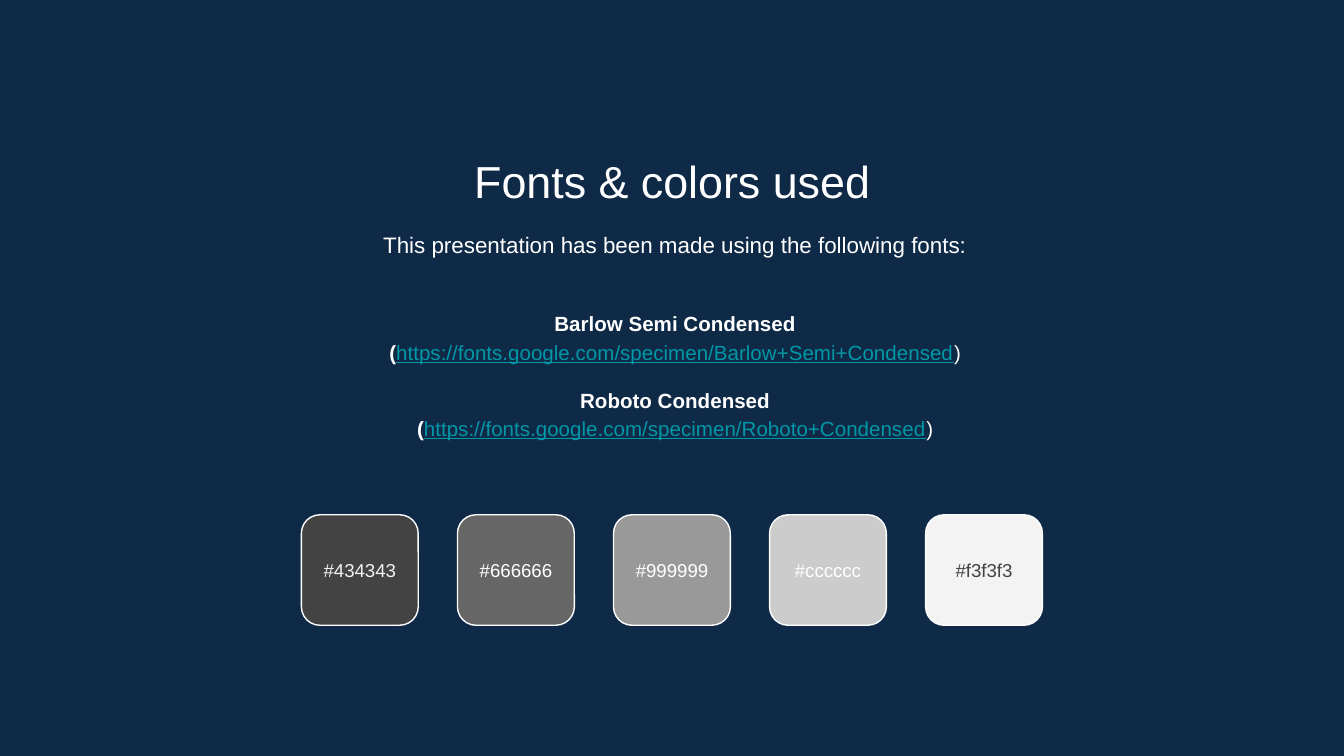
import pptx
import pptx.dml.color
import pptx.enum.shapes
import pptx.enum.text
import pptx.oxml.ns
import pptx.util
from lxml import etree

RGBColor = pptx.dml.color.RGBColor
Pt = pptx.util.Pt
PP_ALIGN = pptx.enum.text.PP_ALIGN
MSO_ANCHOR = pptx.enum.text.MSO_ANCHOR

NAVY = RGBColor(0x0E, 0x2A, 0x47)
WHITE = RGBColor(0xFF, 0xFF, 0xFF)
TEAL = RGBColor(0x00, 0x97, 0xA7)
CHARCOAL = RGBColor(0x43, 0x43, 0x43)
DARK_GREY = RGBColor(0x66, 0x66, 0x66)
GREY = RGBColor(0x99, 0x99, 0x99)
LIGHT_GREY = RGBColor(0xCC, 0xCC, 0xCC)
PALE_GREY = RGBColor(0xF3, 0xF3, 0xF3)

FRAME_FORMAT = {
    "margin_left": Pt(7.2), "margin_top": Pt(7.2),
    "margin_right": Pt(7.2), "margin_bottom": Pt(7.2),
    "word_wrap": True, "auto_size": pptx.enum.text.MSO_AUTO_SIZE.NONE,
}


def apply(target, values):
    """Set every attribute named in a dict of format values."""
    for name, value in values.items():
        setattr(target, name, value)


class SlideStyle:
    """Hold the typeface and the current slide, and add its elements."""

    def __init__(self, slide, typeface):
        self.slide = slide
        self.typeface = typeface
        slide.background.fill.solid()
        slide.background.fill.fore_color.rgb = NAVY

    def fill_text(self, frame, paragraphs, size, anchor=MSO_ANCHOR.MIDDLE, spacing=1.0):
        """Fill a frame with (space before, runs) paragraphs of (text, colour, format) runs."""
        apply(frame, FRAME_FORMAT | {"vertical_anchor": anchor})
        for index, (gap, runs) in enumerate(paragraphs):
            line = frame.add_paragraph() if index else frame.paragraphs[0]
            apply(line, {"alignment": PP_ALIGN.CENTER, "line_spacing": spacing,
                         "space_before": Pt(gap), "space_after": Pt(0)})
            for text, colour, extra in runs:
                run = line.add_run()
                run.text = text
                apply(run.font, {"name": self.typeface, "size": Pt(size), "bold": False} | extra)
                run.font.color.rgb = colour

    def place(self, index, left, top, width, height):
        """Move a placeholder of the layout and return its text frame."""
        holder = self.slide.placeholders[index]
        apply(holder, {"left": Pt(left), "top": Pt(top), "width": Pt(width), "height": Pt(height)})
        return holder.text_frame

    def title(self, text, box):
        """Set the slide title."""
        self.fill_text(self.place(0, *box), [(0, [(text, WHITE, {})])], 24, MSO_ANCHOR.TOP)

    def body(self, index, paragraphs, box, size, anchor):
        """Set centred, unbulleted lines in a body placeholder."""
        frame = self.place(index, *box)
        self.fill_text(frame, paragraphs, size, anchor, 1.15)
        for line in frame.paragraphs:
            properties = line._p.get_or_add_pPr()
            properties.set("marL", "0")
            properties.set("indent", "0")
            etree.SubElement(properties, pptx.oxml.ns.qn("a:buNone"))

    def swatch(self, left, top, width, height, colour, label_colour):
        """Draw a colour tile with its hex code in the middle."""
        tile = self.slide.shapes.add_shape(
            pptx.enum.shapes.MSO_SHAPE.ROUNDED_RECTANGLE,
            Pt(left), Pt(top), Pt(width), Pt(height))
        tile.shadow.inherit = False
        tile.fill.solid()
        tile.fill.fore_color.rgb = colour
        tile.line.color.rgb = WHITE
        tile.line.width = Pt(0.75)
        label_height = 34.6
        label = self.slide.shapes.add_textbox(
            Pt(left), Pt(top + (height - label_height) / 2), Pt(width), Pt(label_height))
        hex_code = f"#{colour}".lower()
        self.fill_text(label.text_frame, [(0, [(hex_code, label_colour, {})])], 10)


def font_credit(name, address, gap):
    """Return the name line and the address line of one font."""
    return [
        (gap, [(name, WHITE, {"bold": True})]),
        (0, [("(", WHITE, {"bold": True}),
             (address, TEAL, {"underline": True}),
             (")", WHITE, {})]),
    ]


def main():
    """Build the fonts and colours slide."""
    deck = pptx.Presentation()
    apply(deck, {"slide_width": Pt(720), "slide_height": Pt(405)})
    style = SlideStyle(deck.slides.add_slide(deck.slide_layouts.get_by_name("Two Content")), "Arial")

    style.title("Fonts & colors used", (82.6, 74.9, 555, 38.2))
    intro = "This presentation has been made using the following fonts:"
    style.body(1, [(0, [(intro, WHITE, {})])], (84.2, 114.5, 555, 34.6), 12, MSO_ANCHOR.TOP)
    credits = (
        font_credit("Barlow Semi Condensed",
                    "https://fonts.google.com/specimen/Barlow+Semi+Condensed", 0)
        + font_credit("Roboto Condensed",
                      "https://fonts.google.com/specimen/Roboto+Condensed", 10.6))
    style.body(2, credits, (84.2, 151.2, 555, 98.6), 11, MSO_ANCHOR.MIDDLE)

    palette = [(CHARCOAL, PALE_GREY), (DARK_GREY, WHITE), (GREY, WHITE),
               (LIGHT_GREY, WHITE), (PALE_GREY, CHARCOAL)]
    for column, (colour, label_colour) in enumerate(palette):
        style.swatch(161.5 + column * 83.6, 275.8, 62.6, 59.2, colour, label_colour)

    deck.save("out.pptx")


if __name__ == "__main__":
    main()
